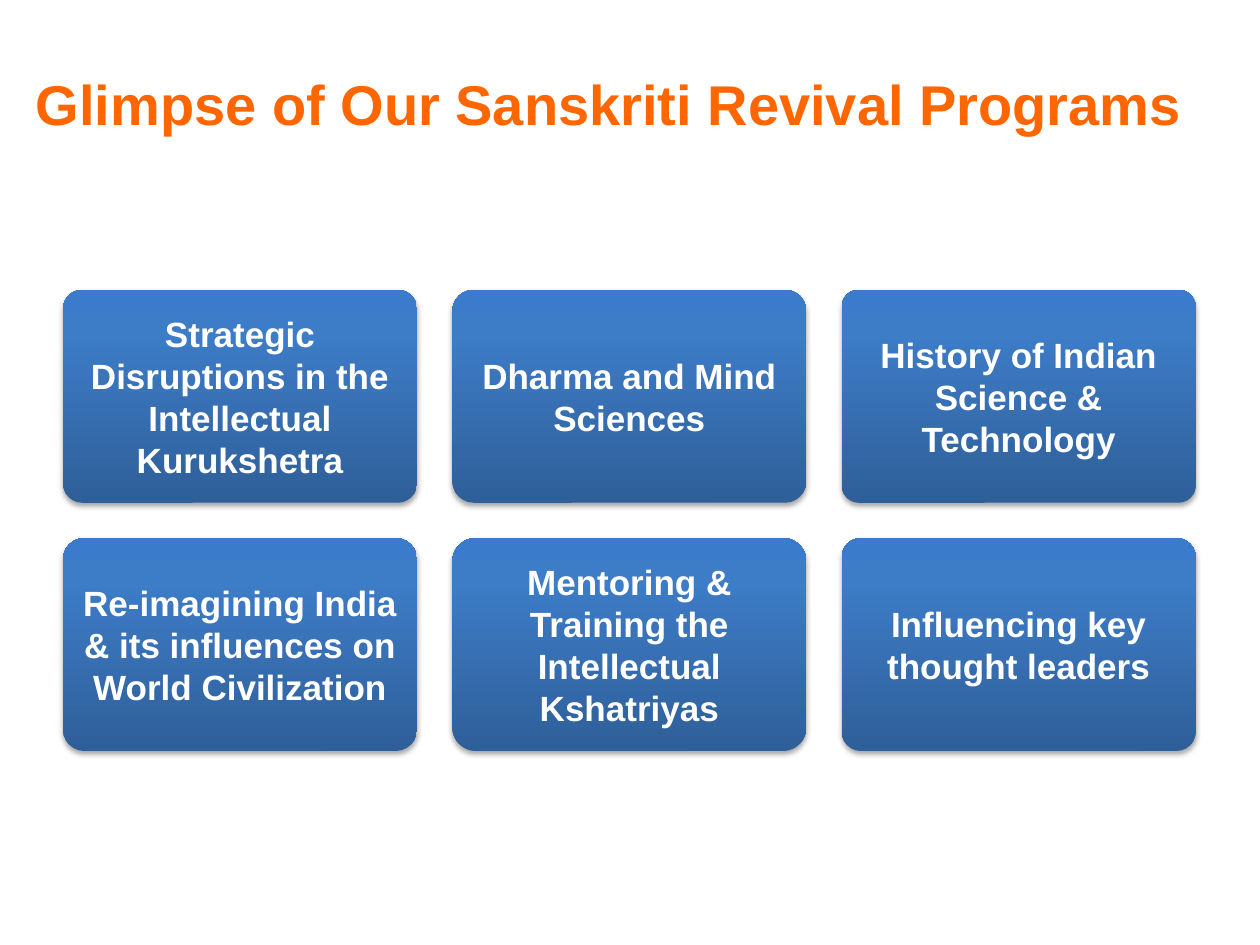
import copy

import pptx
import pptx.dml.color
import pptx.enum.shapes
import pptx.enum.text
import pptx.oxml
import pptx.oxml.ns
import pptx.util
from pptx.util import Inches

RGBColor = pptx.dml.color.RGBColor
ORANGE = RGBColor(0xFF, 0x66, 0x00)
WHITE = RGBColor(0xFF, 0xFF, 0xFF)
GRADIENT = [
    (0, RGBColor(0x2F, 0x5F, 0x99)),
    (0.8, RGBColor(0x3D, 0x7C, 0xC7)),
    (1, RGBColor(0x3A, 0x7C, 0xCB)),
]
SHADOW = (
    f'<a:effectLst {pptx.oxml.ns.nsdecls("a")}>'
    '<a:outerShdw blurRad="39370" dist="22860" dir="5400000" rotWithShape="0">'
    '<a:srgbClr val="000000"><a:alpha val="35000"/></a:srgbClr>'
    '</a:outerShdw></a:effectLst>'
)
# Program name and corner rounding
PROGRAMS = [
    ("Strategic Disruptions in the Intellectual Kurukshetra", 0.09),
    ("Dharma and Mind Sciences", 0.1),
    ("History of Indian Science & Technology", 0.08),
    ("Re-imagining India & its influences on World Civilization", 0.1),
    ("Mentoring & Training the Intellectual Kshatriyas", 0.11),
    ("Influencing key thought leaders", 0.09),
]
COLUMNS = 3
LEFT, TOP = 0.5, 2.3
WIDTH, HEIGHT = 2.81, 1.69
GAP = 0.28


def format_text(tf, size, color):
    tf.word_wrap = True
    tf.vertical_anchor = pptx.enum.text.MSO_ANCHOR.MIDDLE
    p = tf.paragraphs[0]
    p.alignment = pptx.enum.text.PP_ALIGN.CENTER
    font = p.runs[0].font
    font.name = "Arial"
    font.size = pptx.util.Pt(size)
    font.bold = True
    font.color.rgb = color


prs = pptx.Presentation()
prs.slide_width, prs.slide_height = Inches(10), Inches(7.5)
s = prs.slides.add_slide(prs.slide_layouts[5])

title = s.shapes.title
title.left, title.top = Inches(0.17), Inches(0.3)
title.width, title.height = Inches(9.33), Inches(1.03)
title.text_frame.text = "Glimpse of Our Sanskriti Revival Programs"
format_text(title.text_frame, 32, ORANGE)

for i, (program, rounding) in enumerate(PROGRAMS):
    row, column = divmod(i, COLUMNS)
    sp = s.shapes.add_shape(
        pptx.enum.shapes.MSO_SHAPE.ROUNDED_RECTANGLE,
        Inches(LEFT + column * (WIDTH + GAP)), Inches(TOP + row * (HEIGHT + GAP)),
        Inches(WIDTH), Inches(HEIGHT))
    sp.adjustments[0] = rounding
    sp.line.fill.background()

    sp.fill.gradient()
    sp.fill.gradient_angle = 90
    stops = sp._element.spPr.find(".//" + pptx.oxml.ns.qn("a:gsLst"))
    stops.append(copy.deepcopy(stops[-1]))
    for stop, (position, color) in zip(sp.fill.gradient_stops, GRADIENT):
        stop.position = position
        stop.color.rgb = color
    sp._element.spPr.append(pptx.oxml.parse_xml(SHADOW))

    tf = sp.text_frame
    tf.margin_left = tf.margin_right = tf.margin_top = tf.margin_bottom = Inches(0.08)
    tf.text = program
    format_text(tf, 20, WHITE)

prs.save("out.pptx")
